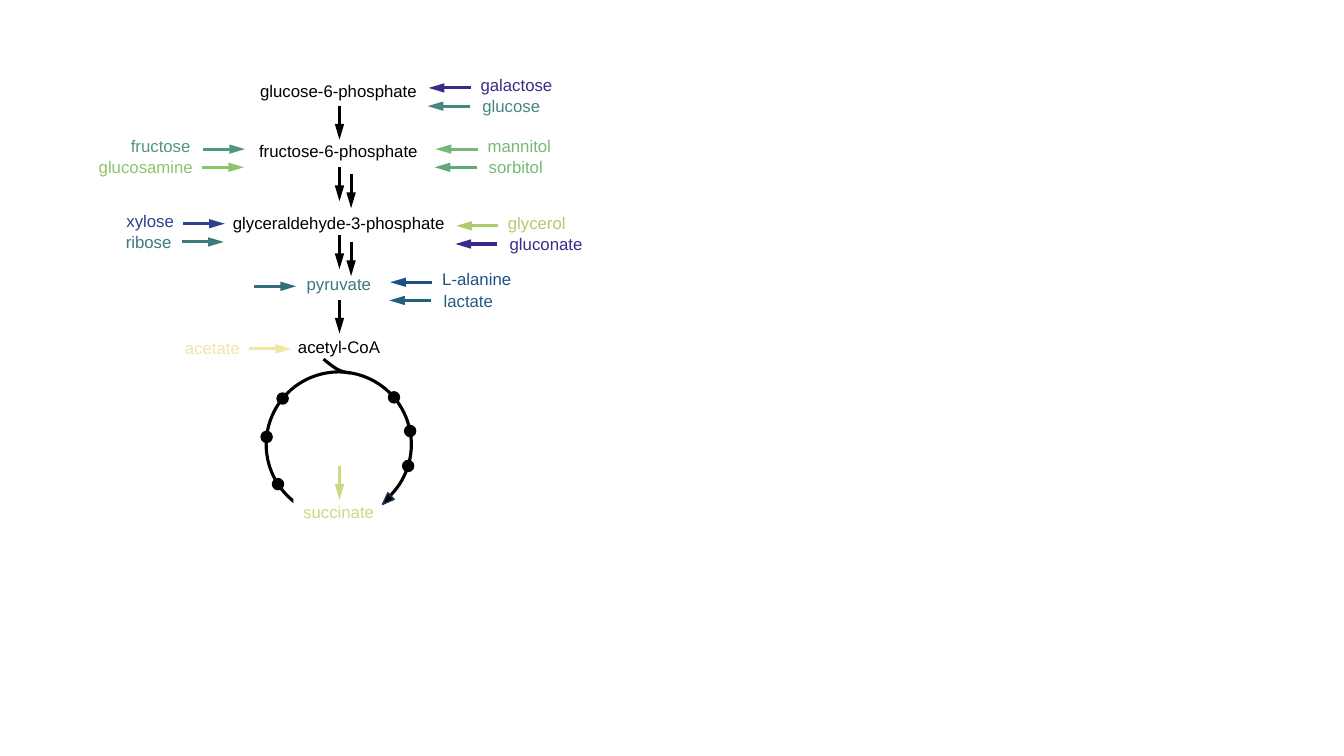
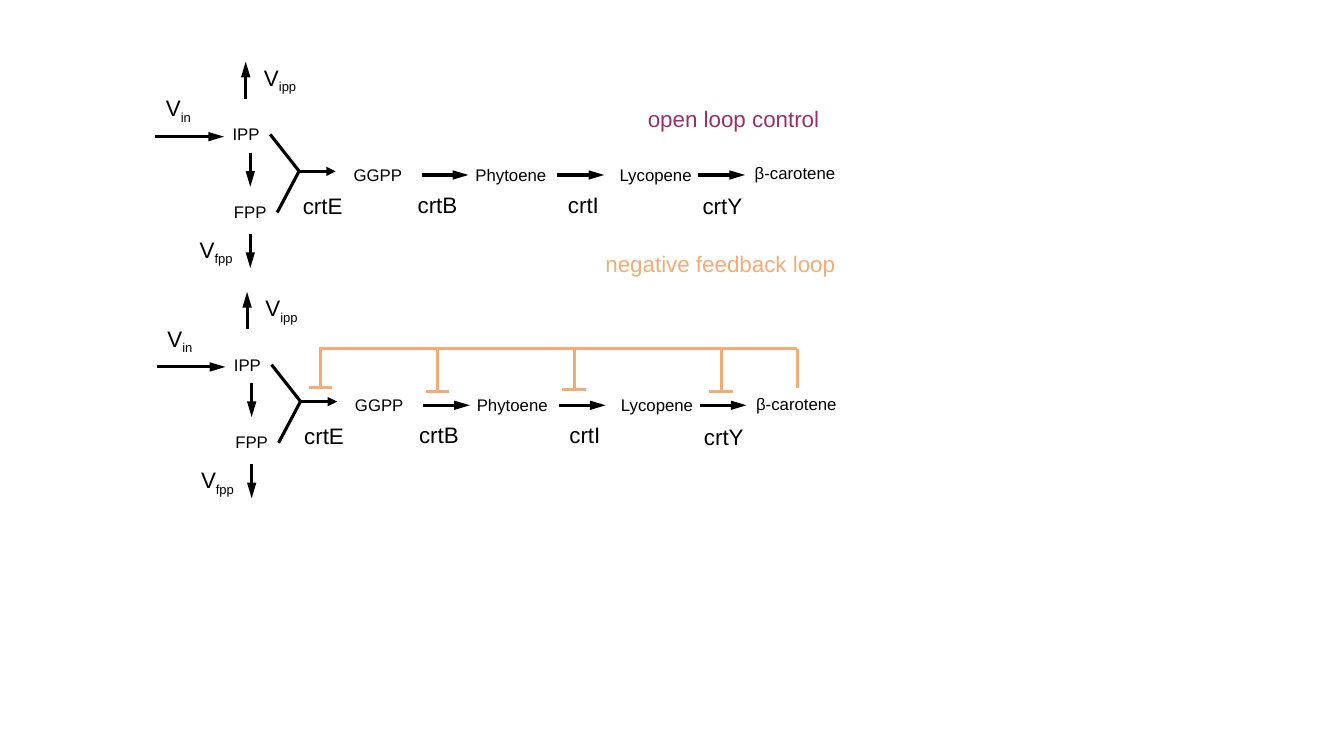
from math import cos, radians, sin

from lxml.etree import SubElement
from pptx import Presentation
from pptx.dml.color import RGBColor
from pptx.enum.shapes import MSO_CONNECTOR, MSO_SHAPE
from pptx.enum.text import MSO_AUTO_SIZE, PP_ALIGN
from pptx.oxml.ns import qn
from pptx.util import Pt

COLOURS = {
    "black": "000000", "white": "FFFFFF", "navy": "1E3256",
    "violet": "392C89", "indigo": "2C428F", "blue": "1D5184",
    "ocean": "235F7F", "petrol": "326C7D", "teal": "3B797D",
    "pine": "46877F", "jade": "519780", "sea": "5FA77E",
    "green": "74B979", "leaf": "8EC36D", "lime": "B0CB6D",
    "straw": "D0D784", "cream": "F1E6A6",
    "plum": "9D2E6C", "orange": "F5AB78",
}
FONT = "Arial"
LINE_WIDTH = 2.25
SMALL, LARGE = 12, 16
HEIGHTS = {SMALL: 21.8, LARGE: 26.6}
AXIS = 242.5
STEP = 24.2
FEED = 30

METABOLITES = [
    ("glucose-6-phosphate", 54, 127.5, "black"),
    ("fructose-6-phosphate", 97, 129, "black"),
    ("glyceraldehyde-3-phosphate", 148.5, 166.5, "black"),
    ("pyruvate", 192, 61, "teal"),
    ("acetyl-CoA", 237, 73.5, "black"),
]
STEPS = [(75.5, False), (119.5, True), (168, True), (214, False)]
FEED_PAIRS = [
    (-1, 336.2, 62.8, [("galactose", "violet", "violet", 336.2, 66),
                       ("glucose", "pine", "pine", 337.5, 56)]),
    (-1, 341.2, 106.5, [("mannitol", "green", "green", 341.2, 60),
                        ("sorbitol", "green", "sea", 342, 53.5)]),
    (1, 145, 106.5, [("fructose", "jade", "jade", 86.4, 57.5),
                     ("glucosamine", "leaf", "leaf", 63.4, 82)]),
    (-1, 356, 161.3, [("glycerol", "lime", "lime", 355.7, 56),
                      ("gluconate", "violet", "violet", 357, 67)]),
    (1, 130.5, 159.8, [("xylose", "indigo", "indigo", 83.2, 49),
                       ("ribose", "teal", "teal", 82.8, 47.5)]),
    (-1, 308.8, 201.6, [("L-alanine", "blue", "blue", 308.8, 66),
                        ("lactate", "ocean", "ocean", 309.8, 67)]),
]
RING_ANGLES = [-40.5, -10.7, 17.2, 146.9, 186, 219.3]

COMPOUNDS = [
    ("Phytoene", 332.5, 114, 65.5), ("Lycopene", 435.5, 114, 66),
    ("IPP", 159, 85, 34), ("FPP", 160, 140.5, 38),
    ("GGPP", 245.5, 114, 50), ("β-carotene", 532, 113, 72.5),
]
ENZYMES = [
    ("crtE", 209, 133.5, 43), ("crtB", 291, 133, 43),
    ("crtI", 398, 133, 37.5), ("crtY", 494.5, 134, 43),
]
FLUXES = [("in", 111.5, 64, 33), ("fpp", 135.5, 165, 40), ("ipp", 181.5, 42, 39)]
PATHWAY_LINES = [
    ((178.8, 167.2), (178.8, 191.4), "lg"),
    ((178.8, 109.2), (178.8, 133.4), "lg"),
    ((175.5, 70.5), (175.5, 44), "lg"),
    ((193, 96), (213.8, 122.4), None),
    ((198, 151.8), (213.8, 122), None),
    ((213.8, 122.4), (239.8, 122.4), "med"),
    ((110.8, 97.6), (160, 97.6), "lg"),
    ((301.2, 125), (334.6, 125), "lg"),
    ((398.2, 125), (431.6, 125), "lg"),
    ((498.8, 125), (532.2, 125), "lg"),
]
INHIBITIONS = [(228.8, 277), (312.6, 279.5), (410.2, 278.3), (515.2, 279.5)]


def colour(name):
    return RGBColor.from_string(COLOURS[name])


def add_text(shapes, text, left, top, width, tint="black", size=SMALL,
             align=PP_ALIGN.LEFT, subscript=None):
    box = shapes.add_textbox(Pt(left), Pt(top), Pt(width), Pt(HEIGHTS[size]))
    frame = box.text_frame
    frame.text = text
    frame.word_wrap = False
    frame.auto_size = MSO_AUTO_SIZE.SHAPE_TO_FIT_TEXT
    para = frame.paragraphs[0]
    para.alignment = align
    if subscript:
        span = para.add_run()
        span.text = subscript
        span.font._element.set("baseline", "-25000")
    for span in para.runs:
        span.font.name = FONT
        span.font.size = Pt(size)
        span.font.color.rgb = colour(tint)
    return box


def add_line(shapes, start, end, tint="black", head=None):
    line = shapes.add_connector(MSO_CONNECTOR.STRAIGHT,
                                *(Pt(value) for value in (*start, *end)))
    line.line.color.rgb = colour(tint)
    line.line.width = Pt(LINE_WIDTH)
    properties = line._element.spPr
    if head:
        SubElement(properties.find(qn("a:ln")), qn("a:tailEnd"),
                   type="triangle", w="med", len=head)
    SubElement(properties, qn("a:effectLst"))


def add_preset(shapes, kind, left, top, width, height, fill=None,
               outline="black", weight=1):
    shape = shapes.add_shape(kind, Pt(left), Pt(top), Pt(width), Pt(height))
    shape.shadow.inherit = False
    if fill:
        shape.fill.solid()
        shape.fill.fore_color.rgb = colour(fill)
    else:
        shape.fill.background()
    shape.line.color.rgb = colour(outline)
    shape.line.width = Pt(weight)
    return shape


def add_curve(shapes, controls, pieces=16):
    def point(t):
        weights = ((1 - t) ** 3, 3 * t * (1 - t) ** 2, 3 * t * t * (1 - t), t ** 3)
        return tuple(Pt(sum(w * control[axis] for w, control in zip(weights, controls)))
                     for axis in (0, 1))

    points = [point(index / pieces) for index in range(pieces + 1)]
    builder = shapes.build_freeform(*points[0])
    builder.add_line_segments(points[1:], close=False)
    curve = builder.convert_to_shape()
    curve.shadow.inherit = False
    curve.fill.background()
    curve.line.color.rgb = colour("black")
    curve.line.width = Pt(LINE_WIDTH)


def add_feed(shapes, x, y, direction, tint):
    add_line(shapes, (x, y), (x + direction * FEED, y), tint, "lg")


def add_feed_pair(shapes, direction, x, y, entries):
    for index, (name, tint, arrow_tint, left, width) in enumerate(entries):
        add_feed(shapes, x - 0.7 * index, y + 13 * index, direction, arrow_tint)
        add_text(shapes, name, left, y - 13 + 15.2 * index, width, tint)


def add_step(shapes, x, y, tint="black"):
    add_line(shapes, (x, y), (x, y + STEP), tint, "lg")


def add_cycle(shapes):
    radius, centre_y, dot = 51.85, 317.5, 7.9
    centre_x = AXIS - 0.5
    add_preset(shapes, MSO_SHAPE.OVAL, centre_x - radius, centre_y - radius,
               2 * radius, 2 * radius, weight=LINE_WIDTH)
    succinate = add_text(shapes, "succinate", 209.5, 355, 65.5, "straw")
    succinate.fill.solid()
    succinate.fill.fore_color.rgb = colour("white")
    tip = add_preset(shapes, MSO_SHAPE.ISOSCELES_TRIANGLE, 273, 353, 6.5, 8.6,
                     "black", "navy")
    tip.rotation = 225.5
    add_curve(shapes, [(231.1, 256.5), (239, 263), (243, 266), (250.6, 266.4)])
    for angle in RING_ANGLES:
        add_preset(shapes, MSO_SHAPE.OVAL,
                   centre_x + radius * cos(radians(angle)) - dot / 2,
                   centre_y + radius * sin(radians(angle)) - dot / 2,
                   dot, dot, "black")


def build_carbon_sources(shapes):
    for name, top, width, tint in METABOLITES:
        add_text(shapes, name, AXIS - width / 2, top, width, tint)
    for y, double in STEPS:
        add_step(shapes, AXIS, y)
        if double:
            add_step(shapes, AXIS + 8.3, y + 5)
    add_cycle(shapes)
    for pair in FEED_PAIRS:
        add_feed_pair(shapes, *pair)
    add_feed(shapes, 181.5, 204.5, 1, "petrol")
    add_feed(shapes, 178, 249.2, 1, "cream")
    add_text(shapes, "acetate", 125, 238, 54, "cream")
    add_step(shapes, AXIS, 332.8, "straw")


def add_pathway(shapes, dx=0, dy=0):
    group = shapes.add_group_shape().shapes
    for name, left, top, width in COMPOUNDS:
        add_text(group, name, left + dx, top + dy, width)
    for name, left, top, width in ENZYMES:
        add_text(group, name, left + dx, top + dy, width, size=LARGE,
                 align=PP_ALIGN.CENTER)
    for name, left, top, width in FLUXES:
        add_text(group, "V", left + dx, top + dy, width, size=LARGE, subscript=name)
    for (x1, y1), (x2, y2), head in PATHWAY_LINES:
        add_line(group, (x1 + dx, y1 + dy), (x2 + dx, y2 + dy), head=head)


def add_feedback(shapes):
    group = shapes.add_group_shape().shapes
    source_x, bus_y, half_bar = 569.5, 249, 8.4
    add_line(group, (source_x, 277.2), (source_x, bus_y), "orange")
    add_line(group, (source_x, bus_y), (INHIBITIONS[0][0] - 1, bus_y), "orange")
    for x, y in INHIBITIONS:
        add_line(group, (x, bus_y), (x, y), "orange")
        add_line(group, (x + half_bar, y), (x - half_bar, y), "orange")


def build_control_loops(shapes):
    add_pathway(shapes)
    add_pathway(shapes, 1, 164.5)
    add_feedback(shapes)
    add_text(shapes, "open loop control", 455, 71.5, 138, "plum", LARGE, PP_ALIGN.CENTER)
    add_text(shapes, "negative feedback loop", 424, 175, 181, "orange", LARGE,
             PP_ALIGN.CENTER)


def main():
    deck = Presentation()
    deck.slide_width, deck.slide_height = Pt(960), Pt(540)
    for build in (build_carbon_sources, build_control_loops):
        page = deck.slides.add_slide(deck.slide_layouts[6])
        build(page.shapes)
    deck.save("out.pptx")


if __name__ == "__main__":
    main()
